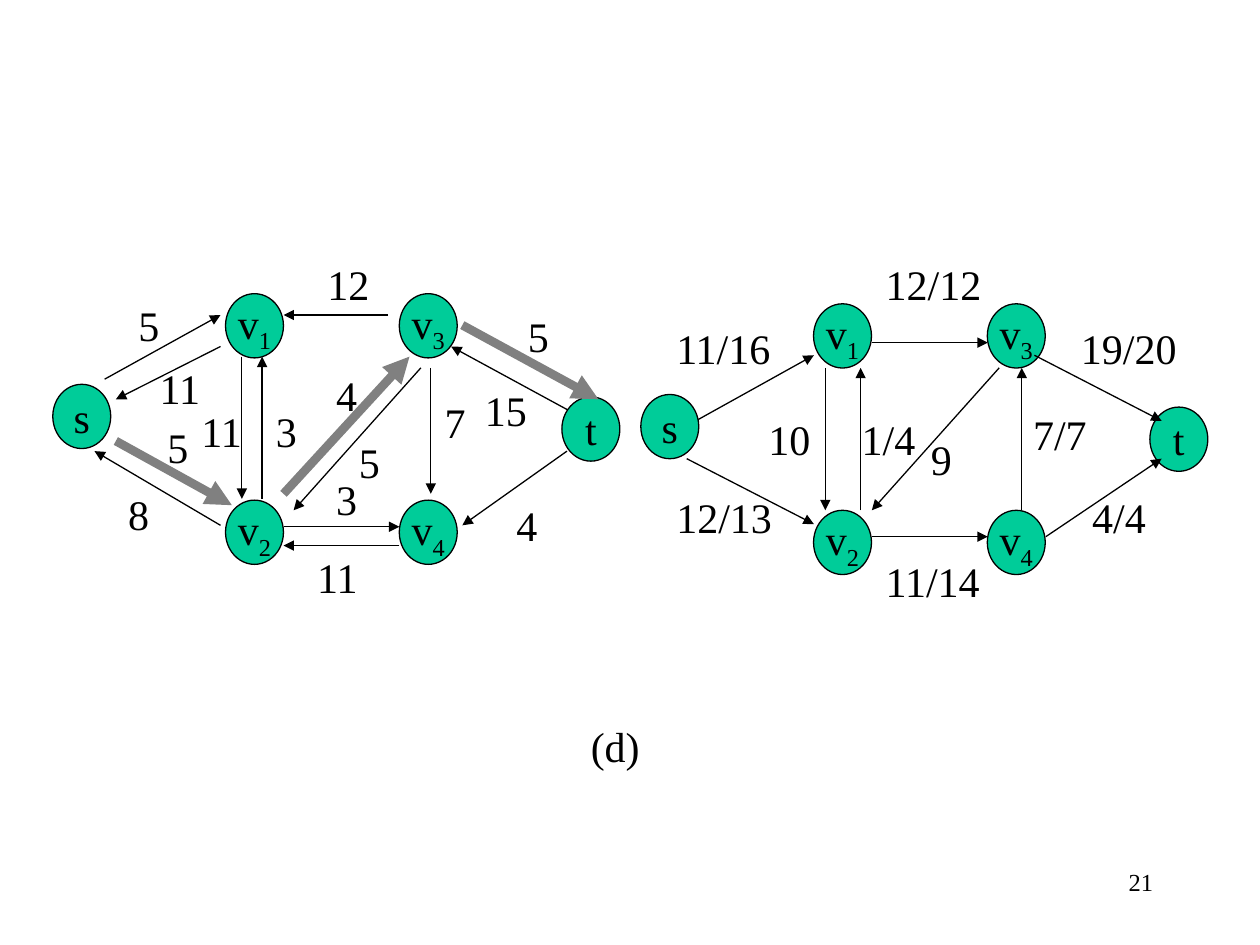
import pptx
import pptx.dml.color
import pptx.enum.shapes
import pptx.enum.text
import pptx.oxml.ns
import pptx.util
from lxml import etree

Pt = pptx.util.Pt
BLACK = pptx.dml.color.RGBColor(0, 0, 0)
GREEN = pptx.dml.color.RGBColor(0x00, 0xCC, 0x99)
GRAY = pptx.dml.color.RGBColor(0x80, 0x80, 0x80)
FONT = "Times New Roman"

NODE_WIDTH, NODE_HEIGHT = 33.1, 36.7
NODES = [
    ("s", "", 30.2, 219.6),
    ("v", "2", 128.9, 285.8),
    ("v", "4", 228.2, 285.8),
    ("t", "", 321.1, 226.8),
    ("v", "3", 228.2, 167.8),
    ("v", "1", 128.9, 167.8),
]
GRAPH_OFFSETS = [(0, 0), (336, 5.8)]

RESIDUAL_EDGES = [
    (59.8, 216.7, 126, 180),
    (126, 198, 66.2, 228.2),
    (126, 300.2, 54, 257.8),
    (221.8, 180, 162, 180),
    (138.2, 203.8, 138.2, 285.1),
    (149.8, 285.1, 149.8, 203.8),
    (240.5, 210.2, 167.8, 291.6),
    (162, 301, 228.2, 301),
    (228.2, 311.8, 162, 311.8),
    (246.2, 210.2, 246.2, 282.2),
    (324, 257.8, 264.2, 300.2),
    (324, 234, 257.8, 198),
]
AUGMENTING_PATH = [
    (66.2, 252, 132.5, 288.7),
    (162, 282.2, 234, 203.8),
    (264.2, 185.8, 342, 228.2),
]
FLOW_EDGES = [
    (398.9, 239.8, 465.1, 203),
    (498.2, 195.8, 564.5, 195.8),
    (591.1, 203, 663.8, 240.5),
    (392.4, 262.1, 465.1, 299.5),
    (498.2, 306.7, 564.5, 306.7),
    (597.6, 306.7, 663.8, 262.1),
    (471.6, 210.2, 471.6, 291.6),
    (491.8, 291.6, 491.8, 210.2),
    (583.9, 291.6, 583.9, 210.2),
    (571, 210.2, 498.2, 291.6),
]

LABEL_WIDTHS = {1: 26.5, 2: 38.5, 3: 46, 5: 69.5}
RESIDUAL_LABELS = [
    ("5", 72, 167.8),
    ("8", 66.2, 275.8),
    ("5", 88.6, 237.6),
    ("11", 84.2, 203.8),
    ("11", 108, 228.2),
    ("3", 150.5, 228.2),
    ("12", 180, 144),
    ("4", 185, 207.4),
    ("5", 198, 246.2),
    ("3", 185, 267.1),
    ("11", 174.2, 311.8),
    ("7", 247, 223.2),
    ("15", 270, 216),
    ("5", 294.5, 174.2),
    ("4", 288, 282.2),
]
FLOW_LABELS = [
    ("11/16", 379.4, 180.7),
    ("12/13", 379.4, 277.2),
    ("12/12", 499, 144),
    ("11/14", 499, 313.9),
    ("10", 432, 232.6),
    ("1/4", 485.3, 232.6),
    ("9", 524.9, 244.1),
    ("7/7", 583.2, 229.7),
    ("19/20", 610.6, 180.7),
    ("4/4", 617, 277.2),
]


def add_run(paragraph, text, size=24, subscript=False):
    run = paragraph.add_run()
    run.text = text
    run.font.name = FONT
    run.font.size = Pt(size)
    run.font.color.rgb = BLACK
    if subscript:
        run.font._element.set("baseline", "-25000")


def add_node(slide, name, index, left, top):
    shape = slide.shapes.add_shape(
        pptx.enum.shapes.MSO_SHAPE.OVAL,
        Pt(left), Pt(top), Pt(NODE_WIDTH), Pt(NODE_HEIGHT))
    shape.shadow.inherit = False
    shape.fill.solid()
    shape.fill.fore_color.rgb = GREEN
    shape.line.color.rgb = BLACK
    shape.line.width = Pt(0.75)
    frame = shape.text_frame
    frame.word_wrap = False
    frame.vertical_anchor = pptx.enum.text.MSO_ANCHOR.MIDDLE
    paragraph = frame.paragraphs[0]
    paragraph.alignment = pptx.enum.text.PP_ALIGN.CENTER
    add_run(paragraph, name)
    if index:
        add_run(paragraph, index, subscript=True)


def add_arrow(slide, ends, color=BLACK, width=0.75):
    connector = slide.shapes.add_connector(
        pptx.enum.shapes.MSO_CONNECTOR.STRAIGHT, *map(Pt, ends))
    connector.line.color.rgb = color
    connector.line.width = Pt(width)
    qualified = pptx.oxml.ns.qn
    line = connector.line._get_or_add_ln()
    etree.SubElement(line, qualified("a:tailEnd"), type="triangle")
    etree.SubElement(connector._element.spPr, qualified("a:effectLst"))


def add_label(slide, text, left, top, width=None, size=24, wrap=False,
              alignment=pptx.enum.text.PP_ALIGN.LEFT):
    width = width or LABEL_WIDTHS[len(text)]
    box = slide.shapes.add_textbox(Pt(left), Pt(top), Pt(width), Pt(36))
    frame = box.text_frame
    frame.word_wrap = wrap
    if not wrap:
        frame.auto_size = pptx.enum.text.MSO_AUTO_SIZE.SHAPE_TO_FIT_TEXT
    paragraph = frame.paragraphs[0]
    paragraph.alignment = alignment
    add_run(paragraph, text, size=size)


def main():
    presentation = pptx.Presentation()
    presentation.slide_width = Pt(720)
    presentation.slide_height = Pt(540)
    slide = presentation.slides.add_slide(presentation.slide_layouts[6])

    for offset_x, offset_y in GRAPH_OFFSETS:
        for name, index, left, top in NODES:
            add_node(slide, name, index, left + offset_x, top + offset_y)
    for ends in RESIDUAL_EDGES + FLOW_EDGES:
        add_arrow(slide, ends)
    for ends in AUGMENTING_PATH:
        add_arrow(slide, ends, color=GRAY, width=5)
    for text, left, top in RESIDUAL_LABELS + FLOW_LABELS:
        add_label(slide, text, left, top)

    add_label(slide, "(d)", 330.5, 408.2, width=42.5)
    add_label(slide, "21", 516.2, 491.8, width=149.8, size=14, wrap=True,
              alignment=pptx.enum.text.PP_ALIGN.RIGHT)
    presentation.save("out.pptx")


if __name__ == "__main__":
    main()
